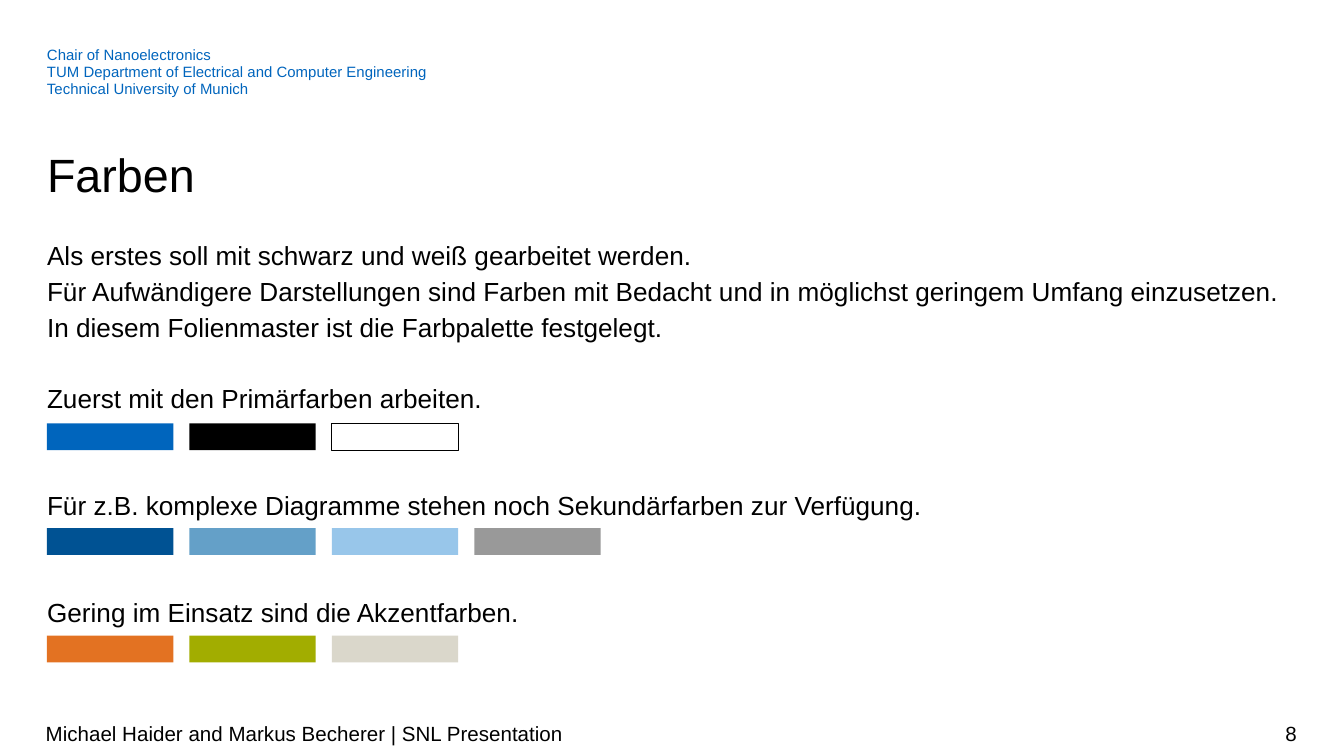
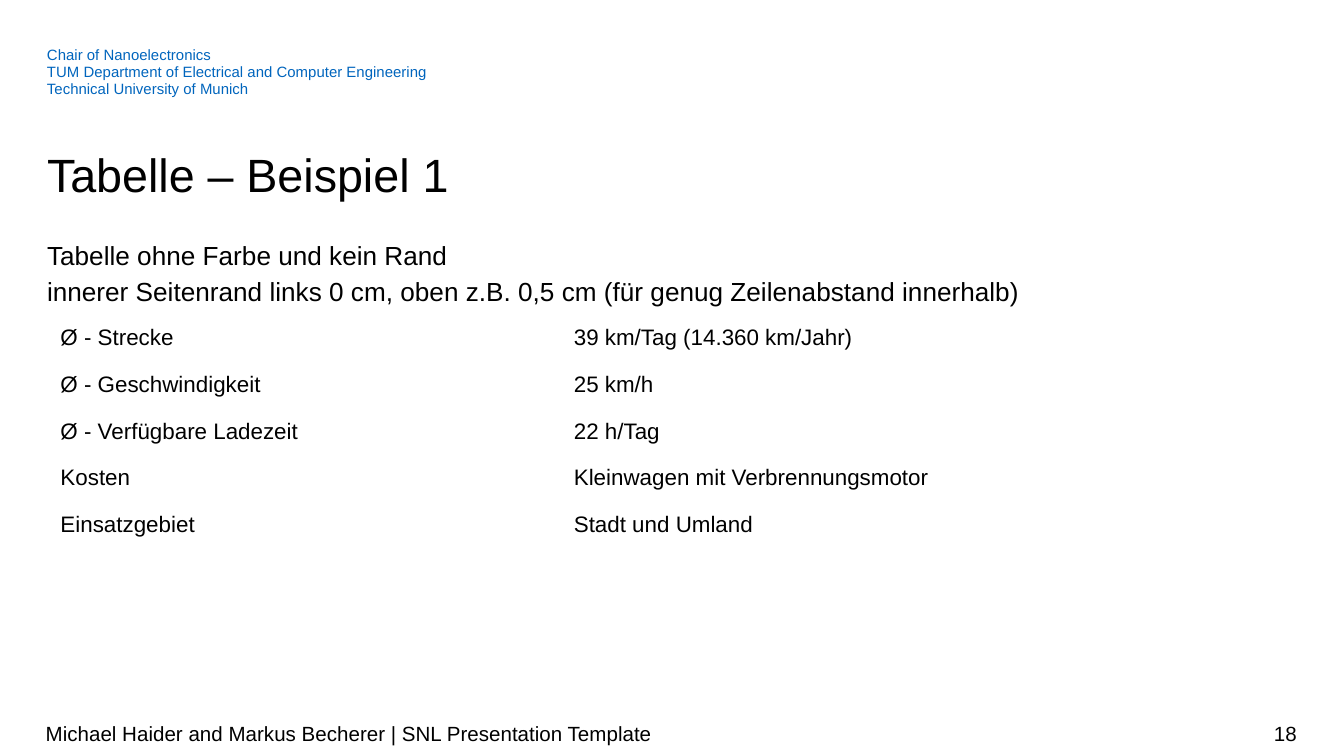
from pptx import Presentation
from pptx.dml.color import RGBColor
from pptx.enum.shapes import MSO_SHAPE
from pptx.enum.text import MSO_ANCHOR, MSO_AUTO_SIZE, PP_ALIGN
from pptx.util import Inches, Pt

FONT = "Arial"
COLORS = {
    "blue": "0065BD", "black": "000000", "white": "FFFFFF",
    "dark_blue": "005293", "mid_blue": "64A0C8", "light_blue": "98C6EA", "gray": "999999",
    "orange": "E37222", "green": "A2AD00", "beige": "DAD7CB",
}

# Boxes shared by the slides: left, top, width, height in inches
HEADER_BOX = (0.35, 0.35, 7.83, 0.37)
TITLE_BOX = (0.35, 1.06, 9.31, 0.45)
FOOTER_BOX = (0.34, 5.31, 7.07, 0.3)
NUMBER_BOX = (7.41, 5.31, 2.24, 0.3)

HEADER_LINES = [
    "Chair of Nanoelectronics",
    "TUM Department of Electrical and Computer Engineering",
    "Technical University of Munich",
]
BODY_SIZE = 14
BODY_SPACING = 1.14
BODY_LINE = 19.1  # height of one body line in points

# Each entry: empty lines above, text lines
COLOR_TEXT = [
    (0, ["Als erstes soll mit schwarz und weiß gearbeitet werden.",
         "Für Aufwändigere Darstellungen sind Farben mit Bedacht und in möglichst "
         "geringem Umfang einzusetzen.",
         "In diesem Folienmaster ist die Farbpalette festgelegt."]),
    (1, ["Zuerst mit den Primärfarben arbeiten."]),
    (2, ["Für z.B. komplexe Diagramme stehen noch Sekundärfarben zur Verfügung."]),
    (2, ["Gering im Einsatz sind die Akzentfarben."]),
]
# Each entry: top of the row, colour names
PALETTE_ROWS = [
    (3.15, ["blue", "black", "white"]),
    (3.93, ["dark_blue", "mid_blue", "light_blue", "gray"]),
    (4.73, ["orange", "green", "beige"]),
]
TABLE_TEXT = [
    (0, ["Tabelle ohne Farbe und kein Rand",
         "innerer Seitenrand links 0 cm, oben z.B. 0,5 cm (für genug Zeilenabstand innerhalb)"]),
]
TABLE_ROWS = [
    ("Ø - Strecke", "39 km/Tag (14.360 km/Jahr)"),
    ("Ø - Geschwindigkeit", "25 km/h"),
    ("Ø - Verfügbare Ladezeit", "22 h/Tag"),
    ("Kosten", "Kleinwagen mit Verbrennungsmotor"),
    ("Einsatzgebiet", "Stadt und Umland"),
]


def color(name):
    return RGBColor.from_string(COLORS[name])


def inches(box):
    return [Inches(value) for value in box]


def add_text(paragraph, lines, size, color_name="black"):
    """Write the lines as runs with line breaks between them."""
    for index, line in enumerate(lines):
        if index:
            paragraph.add_line_break()
        run = paragraph.add_run()
        run.text = line
        run.font.name = FONT
        run.font.size = Pt(size)
        run.font.color.rgb = color(color_name)


def set_frame(frame, anchor=MSO_ANCHOR.TOP, vertical_margin=0):
    frame.word_wrap = True
    frame.auto_size = MSO_AUTO_SIZE.NONE
    frame.vertical_anchor = anchor
    frame.margin_left = frame.margin_right = 0
    frame.margin_top = frame.margin_bottom = Inches(vertical_margin)


def add_box(slide, box, **frame_options):
    frame = slide.shapes.add_textbox(*inches(box)).text_frame
    set_frame(frame, **frame_options)
    return frame


def next_paragraph(frame, index):
    return frame.add_paragraph() if index else frame.paragraphs[0]


def add_header(slide, box):
    frame = add_box(slide, box)
    for index, line in enumerate(HEADER_LINES):
        paragraph = next_paragraph(frame, index)
        paragraph.line_spacing = Pt(9)
        add_text(paragraph, [line], 8, "blue")


def set_title(slide, box, text):
    title = slide.shapes.title
    title.left, title.top, title.width, title.height = inches(box)
    set_frame(title.text_frame)
    paragraph = title.text_frame.paragraphs[0]
    paragraph.alignment = PP_ALIGN.LEFT
    paragraph.line_spacing = Pt(32)
    add_text(paragraph, [text], 25)


def add_footer_text(slide, box, text, alignment):
    frame = add_box(slide, box, anchor=MSO_ANCHOR.MIDDLE, vertical_margin=0.05)
    frame.paragraphs[0].alignment = alignment
    add_text(frame.paragraphs[0], [text], 11)


def add_body(slide, box, entries):
    frame = add_box(slide, box)
    for index, (empty_lines, lines) in enumerate(entries):
        paragraph = next_paragraph(frame, index)
        paragraph.line_spacing = BODY_SPACING
        paragraph.space_before = Pt(empty_lines * BODY_LINE)
        add_text(paragraph, lines, BODY_SIZE)


def add_palette_row(slide, left, top, names):
    """Place one row of colour swatches at equal steps."""
    width, height, step = 0.94, 0.2, 1.06
    for index, name in enumerate(names):
        swatch = slide.shapes.add_shape(
            MSO_SHAPE.RECTANGLE, *inches((left + index * step, top, width, height)))
        swatch.shadow.inherit = False
        swatch.fill.solid()
        swatch.fill.fore_color.rgb = color(name)
        if name == "white":
            swatch.line.color.rgb = color("black")
            swatch.line.width = Pt(0.5)
        else:
            swatch.line.fill.background()


def add_plain_table(slide, box, column_widths, rows):
    """Add a table without fills or emphasis."""
    table = slide.shapes.add_table(len(rows), len(column_widths), *inches(box)).table
    table.first_row = table.horz_banding = False
    for column, width in zip(table.columns, column_widths):
        column.width = Inches(width)
    for row_index, texts in enumerate(rows):
        for column_index, text in enumerate(texts):
            cell = table.cell(row_index, column_index)
            cell.fill.background()
            cell.vertical_anchor = MSO_ANCHOR.MIDDLE
            add_text(cell.text_frame.paragraphs[0], [text], 12)


def add_base_slide(presentation, title, footer, number):
    slide = presentation.slides.add_slide(presentation.slide_layouts[5])
    add_header(slide, HEADER_BOX)
    set_title(slide, TITLE_BOX, title)
    add_footer_text(slide, NUMBER_BOX, number, PP_ALIGN.RIGHT)
    add_footer_text(slide, FOOTER_BOX, footer, PP_ALIGN.LEFT)
    return slide


def add_color_slide(presentation):
    slide = add_base_slide(
        presentation, "Farben", "Michael Haider and Markus Becherer | SNL Presentation", "8")
    add_body(slide, (0.35, 1.75, 9.31, 3.39), COLOR_TEXT)
    for top, names in PALETTE_ROWS:
        add_palette_row(slide, 0.35, top, names)


def add_table_slide(presentation):
    slide = add_base_slide(
        presentation, "Tabelle – Beispiel 1",
        "Michael Haider and Markus Becherer | SNL Presentation Template", "18")
    add_body(slide, (0.35, 1.75, 9.31, 0.55), TABLE_TEXT)
    add_plain_table(slide, (0.35, 2.34, 9.31, 1.74), (3.82, 5.48), TABLE_ROWS)


def main():
    presentation = Presentation()
    # Widescreen format, 16:9
    presentation.slide_width = Inches(10)
    presentation.slide_height = presentation.slide_width * 9 // 16
    add_color_slide(presentation)
    add_table_slide(presentation)
    presentation.save("out.pptx")


if __name__ == "__main__":
    main()
